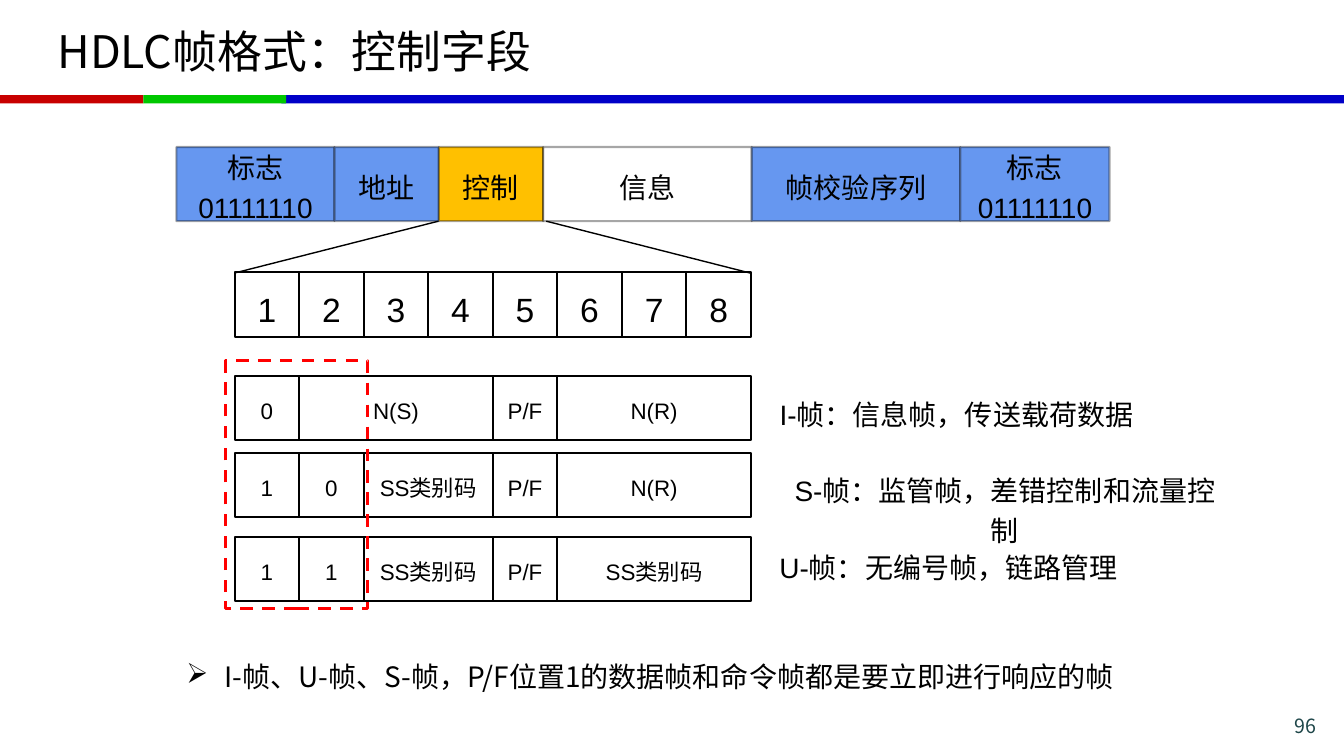
"""Build the slide on the control field of the HDLC frame."""
from lxml import etree
from pptx import Presentation
from pptx.dml.color import RGBColor
from pptx.enum.dml import MSO_LINE
from pptx.enum.shapes import MSO_CONNECTOR, MSO_SHAPE
from pptx.enum.text import MSO_ANCHOR, PP_ALIGN
from pptx.oxml.ns import qn
from pptx.util import Pt

RECTANGLE = MSO_SHAPE.RECTANGLE
STRAIGHT = MSO_CONNECTOR.STRAIGHT
DASH = MSO_LINE.DASH
TOP, MIDDLE = MSO_ANCHOR.TOP, MSO_ANCHOR.MIDDLE
LEFT, CENTER, RIGHT = PP_ALIGN.LEFT, PP_ALIGN.CENTER, PP_ALIGN.RIGHT

THEME = {
    "ink": "000000", "page": "1E4649", "alert": "FF0000",
    "field": "6697F0", "control": "FFC000",
    "blue": "0000C8", "red": "C80000", "green": "00C800",
    "latin": "Arial", "asian": "Noto Sans CJK SC",
    "title_size": 32, "bit_size": 24, "body_size": 20, "cell_size": 16, "page_size": 14,
}

TITLE = "HDLC帧格式：控制字段"
PAGE = "96"
NOTE = "I-帧、U-帧、S-帧，P/F位置1的数据帧和命令帧都是要立即进行响应的帧"
STRIPES = [("blue", 201, 759), ("red", 0, 102.5), ("green", 102.5, 102)]
FRAME_FIELDS = [
    ("标志01111110", 113, "field"),
    ("地址", 74.5, "field"),
    ("控制", 74.5, "control"),
    ("信息", 149, None),
    ("帧校验序列", 149, "field"),
    ("标志01111110", 106.5, "field"),
]
BIT_ROWS = [
    (194.5, "bit_size", [(str(bit), 1) for bit in range(1, 9)]),
    (268.5, "cell_size", [("0", 1), ("N(S)", 3), ("P/F", 1), ("N(R)", 3)]),
    (323.5, "cell_size", [("1", 1), ("0", 1), ("SS类别码", 2), ("P/F", 1), ("N(R)", 3)]),
    (383.3, "cell_size", [("1", 1), ("1", 1), ("SS类别码", 2), ("P/F", 1), ("SS类别码", 3)]),
]
FRAME_TYPES = [
    ("I-帧：信息帧，传送载荷数据", 548.6, 275.8, 269.3),
    ("S-帧：监管帧，差错控制和流量控制", 550.8, 329.8, 334),
    ("U-帧：无编号帧，链路管理", 548.6, 385.2, 257.8),
]
FRAME_LEFT, FRAME_TOP, FRAME_HEIGHT = 126, 105, 53
BIT_LEFT, BIT_SIZE = 167.6, 46.1
ZOOM_LINES = [(313.2, 167.6), (390.2, 535.7)]
ZOOM_TOP, ZOOM_BOTTOM = 158, 195
TYPE_BITS = (161.3, 257.8, 101.5, 177.1)


def color(name):
    return RGBColor.from_string(THEME[name])


def write(shape, text, size="body_size", ink="ink", latin="latin", align=CENTER,
          anchor=MIDDLE, spacing=1.2, bullet=None, indent=0):
    """Put one formatted paragraph into a shape."""
    frame = shape.text_frame
    frame.word_wrap = True
    frame.vertical_anchor = anchor
    paragraph = frame.paragraphs[0]
    paragraph.alignment = align
    paragraph.line_spacing = spacing
    if bullet:
        properties = paragraph._p.get_or_add_pPr()
        properties.set("marL", str(Pt(indent)))
        properties.set("indent", str(-Pt(indent)))
        etree.SubElement(properties, qn("a:buChar")).set("char", bullet)
    run = paragraph.add_run()
    run.text = text
    run.font.size = Pt(THEME[size])
    run.font.color.rgb = color(ink)
    run.font.name = THEME[latin]
    asian = etree.SubElement(run._r.get_or_add_rPr(), qn("a:ea"))
    asian.set("typeface", THEME["asian"])


def add_box(shapes, left, top, width, height, fill=None, line=None, weight=1.5, opacity=None):
    box = shapes.add_shape(RECTANGLE, Pt(left), Pt(top), Pt(width), Pt(height))
    box.shadow.inherit = False
    if fill:
        box.fill.solid()
        box.fill.fore_color.rgb = color(fill)
    else:
        box.fill.background()
    if line:
        box.line.color.rgb = color(line)
        box.line.width = Pt(weight)
    else:
        box.line.fill.background()
    if opacity:
        tint = box.line._ln.find(".//" + qn("a:srgbClr"))
        etree.SubElement(tint, qn("a:alpha")).set("val", str(opacity * 1000))
    return box


def add_text(shapes, text, left, top, width, height, **text_format):
    box = shapes.add_textbox(Pt(left), Pt(top), Pt(width), Pt(height))
    write(box, text, **text_format)


def add_header(shapes):
    for fill, left, width in STRIPES:
        add_box(shapes, left, 68, width, 5.8, fill=fill)
    add_text(shapes, PAGE, 854, 508.3, 93.5, 20, size="page_size", ink="page",
             latin="asian", align=RIGHT, spacing=1.0)
    add_text(shapes, TITLE, 34, 5.8, 892, 60.5, size="title_size",
             latin="asian", align=LEFT, spacing=1.0)


def add_frame(shapes):
    left = FRAME_LEFT
    for text, width, fill in FRAME_FIELDS:
        box = add_box(shapes, left, FRAME_TOP, width, FRAME_HEIGHT,
                      fill=fill, line="ink", opacity=34)
        write(box, text)
        left += width


def add_bit_row(shapes, top, size, cells):
    group = shapes.add_group_shape()
    left = BIT_LEFT
    for text, span in cells:
        box = add_box(group.shapes, left, top, span * BIT_SIZE, BIT_SIZE, line="ink")
        write(box, text, size=size)
        left += span * BIT_SIZE


def add_zoom_line(shapes, start, end):
    connector = shapes.add_connector(STRAIGHT, Pt(start), Pt(ZOOM_TOP), Pt(end), Pt(ZOOM_BOTTOM))
    connector.line.color.rgb = color("ink")
    connector.line.width = Pt(1)
    etree.SubElement(connector._element.spPr, qn("a:effectLst"))


def main():
    presentation = Presentation()
    presentation.slide_width, presentation.slide_height = Pt(960), Pt(540)
    slide = presentation.slides.add_slide(presentation.slide_layouts[6])
    shapes = slide.shapes
    add_header(shapes)
    add_frame(shapes)
    for start, end in ZOOM_LINES:
        add_zoom_line(shapes, start, end)
    for top, size, cells in BIT_ROWS:
        add_bit_row(shapes, top, size, cells)
    for text, left, top, width in FRAME_TYPES:
        add_text(shapes, text, left, top, width, 34, anchor=TOP)
    type_bits = add_box(shapes, *TYPE_BITS, line="alert", weight=2.25)
    type_bits.line.dash_style = DASH
    add_text(shapes, NOTE, 126, 463, 694, 36, latin="asian", align=LEFT,
             anchor=TOP, bullet="➢", indent=27)
    presentation.save("out.pptx")


if __name__ == "__main__":
    main()
